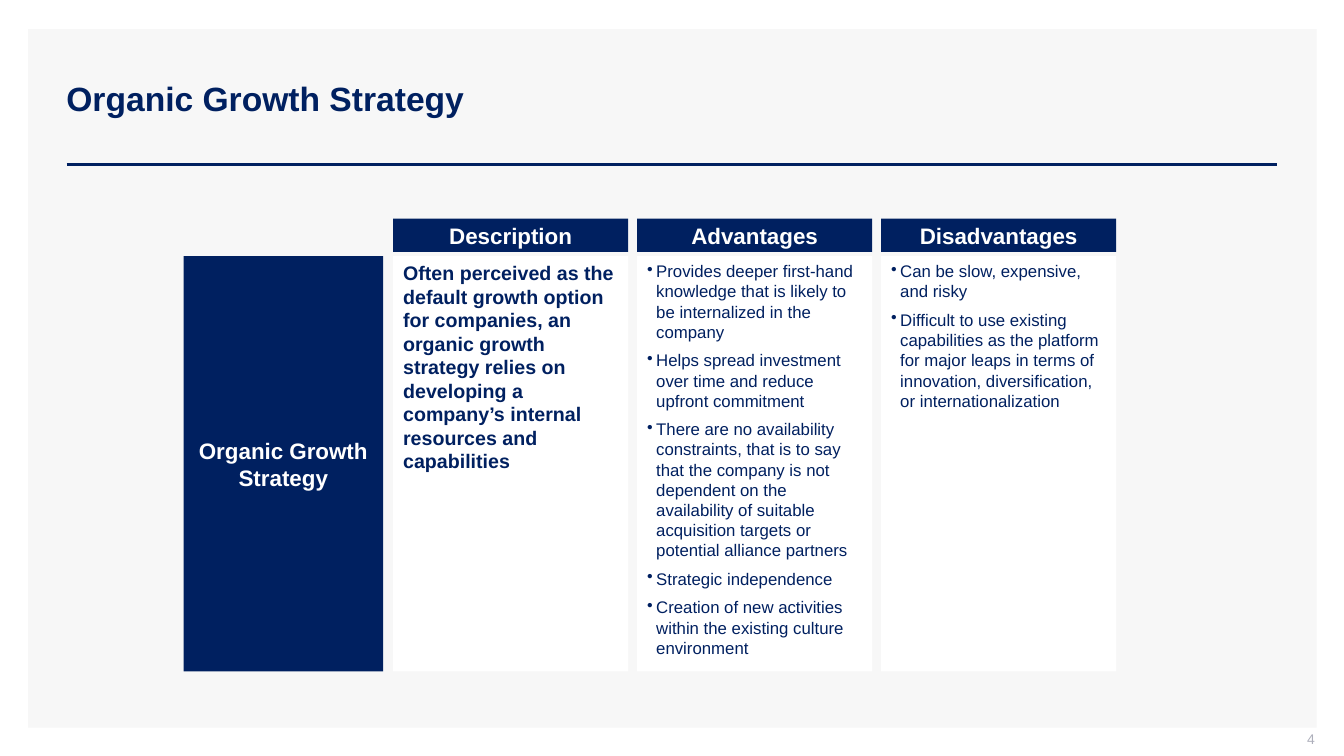
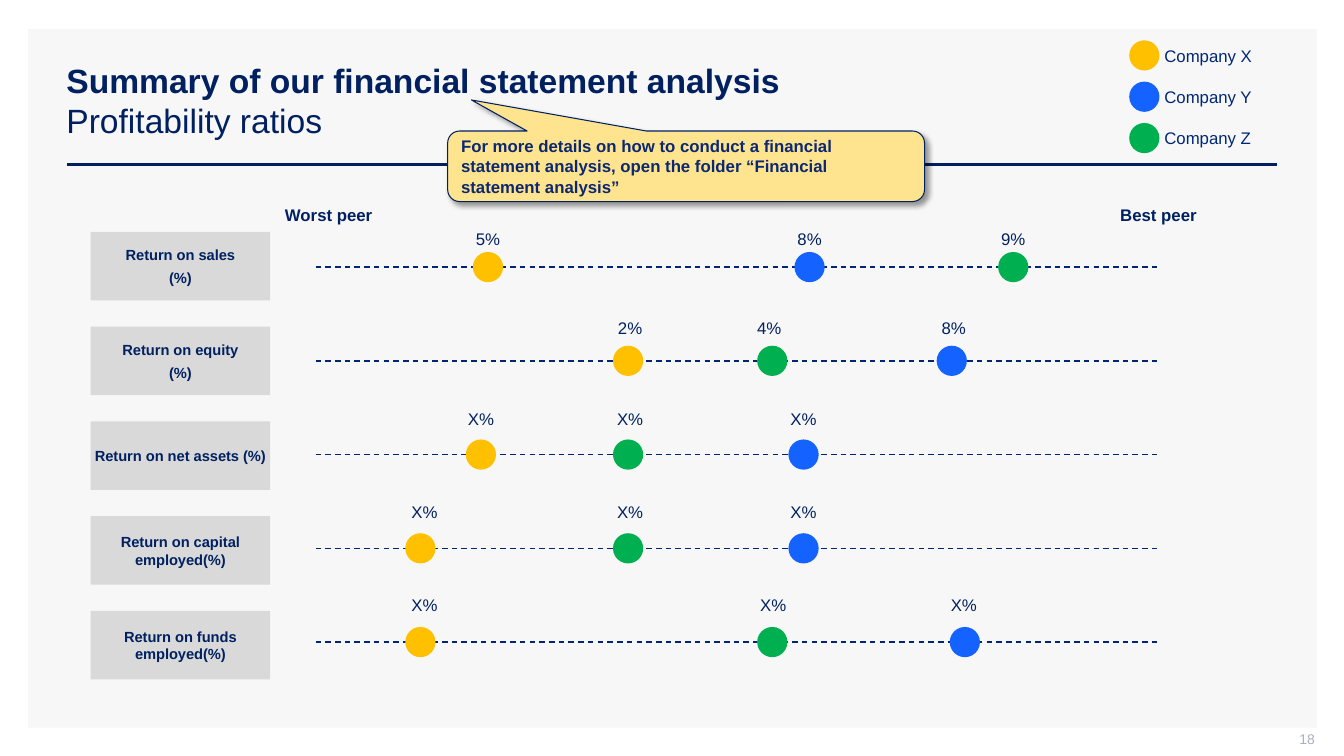
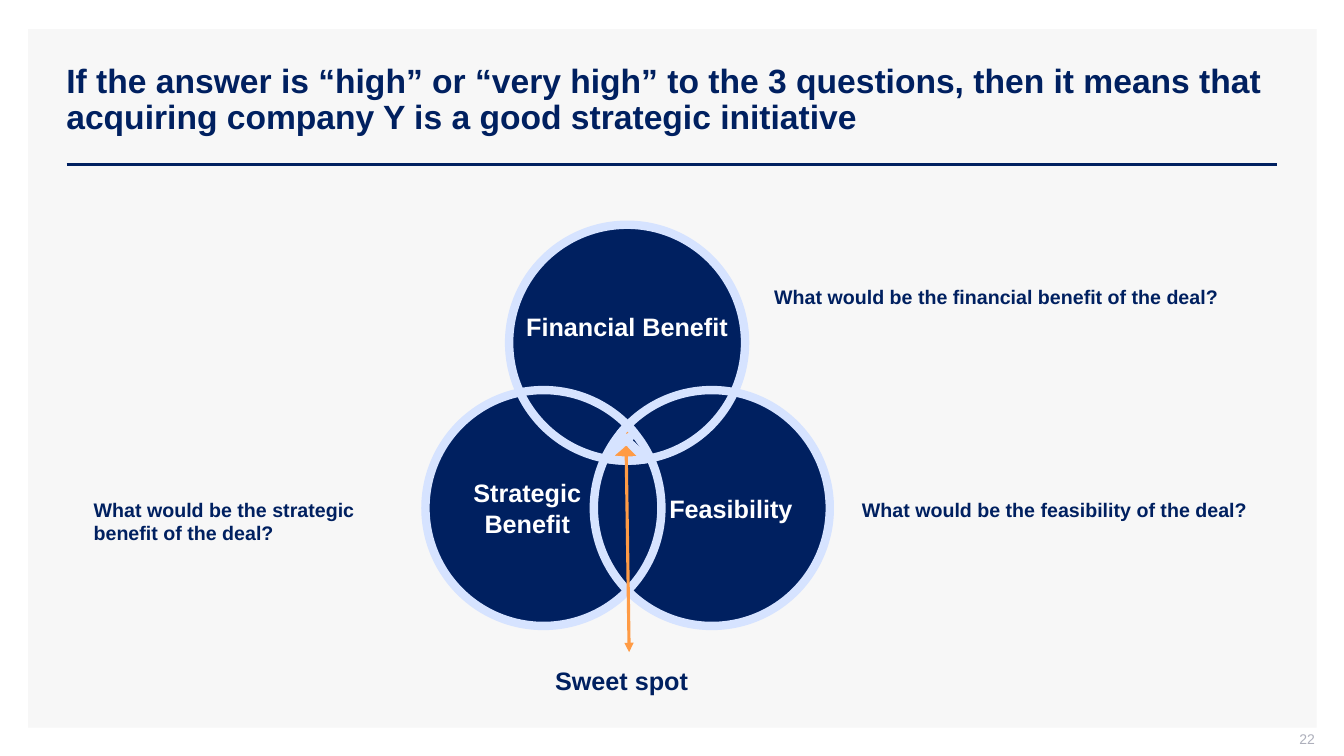
from dataclasses import dataclass
from math import atan2, cos, hypot, sin, sqrt

from lxml.etree import SubElement
from pptx import Presentation
from pptx.dml.color import RGBColor
from pptx.enum.dml import MSO_LINE
from pptx.enum.shapes import MSO_CONNECTOR, MSO_SHAPE, MSO_SHAPE_TYPE
from pptx.enum.text import MSO_ANCHOR, PP_ALIGN
from pptx.oxml.ns import qn
from pptx.util import Inches, Pt


@dataclass(frozen=True)
class Theme:
    font: str = "Arial"
    navy: str = "002060"
    dash: str = "002673"
    legend: str = "002776"
    note_text: str = "0C2870"
    note_fill: str = "FFE48F"
    panel: str = "F7F7F7"
    label: str = "D9D9D9"
    white: str = "FFFFFF"
    number: str = "ADAFBB"
    ring: str = "D6E3FF"
    orange: str = "FF9B45"
    yellow: str = "FFC000"
    blue: str = "1462FF"
    green: str = "00B050"
    title_size: float = 24
    venn_size: float = 18
    head_size: float = 16
    lead_size: float = 14
    body_size: float = 12
    label_size: float = 10.5
    number_size: float = 10


theme = Theme()


def draw(page, kind, left, top, width, height, fill=None, line=None, weight=1):
    shape = page.shapes.add_shape(kind, Inches(left), Inches(top), Inches(width), Inches(height))
    if fill:
        shape.fill.solid()
        shape.fill.fore_color.rgb = RGBColor.from_string(fill)
    else:
        shape.fill.background()
    if line:
        shape.line.color.rgb = RGBColor.from_string(line)
        shape.line.width = Pt(weight)
    else:
        shape.line.fill.background()
    shape.shadow.inherit = False
    return shape


def write(box, *texts, size=theme.body_size, color=theme.navy, bold=False, align=PP_ALIGN.LEFT,
          anchor=MSO_ANCHOR.TOP, inset=(0.1, 0.05, 0.1, 0.05), wrap=True, gap=0,
          leading=None, bullet=False):
    frame = box.text_frame
    frame.word_wrap = wrap
    frame.vertical_anchor = anchor
    frame.margin_left, frame.margin_top, frame.margin_right, frame.margin_bottom = map(Inches, inset)
    for index, text in enumerate(texts):
        para = frame.add_paragraph() if index else frame.paragraphs[0]
        para.alignment = align
        para.line_spacing = leading
        para.space_before = Pt(gap if index else 0)
        para.space_after = Pt(gap)
        if bullet:
            properties = para._p.get_or_add_pPr()
            properties.set("marL", str(Inches(0.09)))
            properties.set("indent", str(Inches(-0.09)))
            SubElement(properties, qn("a:buChar"), char="•")
        span = para.add_run()
        span.text = text
        span.font.name = theme.font
        span.font.size = Pt(size)
        span.font.bold = bold
        span.font.color.rgb = RGBColor.from_string(color)


deck = Presentation()
deck.slide_width = Inches(13.33)
deck.slide_height = Inches(7.5)

pages = []
titles = []
for title, number, leading in [
    ("Organic Growth Strategy", "4", 0.9),
    ("Summary of our financial statement analysis", "18", None),
    ("If the answer is “high” or “very high” to the 3 questions, then it means that "
     "acquiring company Y is a good strategic initiative", "22", 0.9),
]:
    page = deck.slides.add_slide(deck.slide_layouts[6])
    draw(page, MSO_SHAPE.RECTANGLE, 0.28, 0.29, 12.78, 6.93, theme.panel)
    rule = page.shapes.add_connector(
        MSO_CONNECTOR.STRAIGHT, Inches(0.66), Inches(1.63), Inches(12.67), Inches(1.63))
    rule.line.color.rgb = RGBColor.from_string(theme.navy)
    rule.line.width = Pt(2)
    box = page.shapes.add_textbox(Inches(0.56), Inches(0.4), Inches(12.11), Inches(1.19))
    write(box, title, size=theme.title_size, bold=True, anchor=MSO_ANCHOR.MIDDLE, leading=leading)
    titles.append(box)
    box = page.shapes.add_textbox(Inches(10.04), Inches(7.25), Inches(3), Inches(0.21))
    write(box, number, size=theme.number_size, color=theme.number, align=PP_ALIGN.RIGHT,
          anchor=MSO_ANCHOR.MIDDLE, inset=(0.1, 0, 0, 0.05))
    pages.append(page)

growth_page, ratio_page, deal_page = pages

box = draw(growth_page, MSO_SHAPE.RECTANGLE, 1.82, 2.54, 1.98, 4.12, theme.navy)
write(box, "Organic Growth Strategy", size=theme.head_size, color=theme.white, bold=True,
      align=PP_ALIGN.CENTER, anchor=MSO_ANCHOR.MIDDLE)
bullet_style = dict(gap=3, bullet=True)
columns = [
    ("Description", dict(size=theme.lead_size, bold=True), [
        "Often perceived as the default growth option for companies, an organic growth strategy "
        "relies on developing a company’s internal resources and capabilities",
    ]),
    ("Advantages", bullet_style, [
        "Provides deeper first-hand knowledge that is likely to be internalized in the company",
        "Helps spread investment over time and reduce upfront commitment",
        "There are no availability constraints, that is to say that the company is not dependent "
        "on the availability of suitable acquisition targets or potential alliance partners",
        "Strategic independence",
        "Creation of new activities within the existing culture environment",
    ]),
    ("Disadvantages", bullet_style, [
        "Can be slow, expensive, and risky",
        "Difficult to use existing capabilities as the platform for major leaps in terms of "
        "innovation, diversification, or internationalization",
    ]),
]
for index, (heading, style, texts) in enumerate(columns):
    left = 3.9 + 2.42 * index
    box = draw(growth_page, MSO_SHAPE.RECTANGLE, left, 2.17, 2.33, 0.33, theme.navy)
    write(box, heading, size=theme.head_size, color=theme.white, bold=True,
          align=PP_ALIGN.CENTER, anchor=MSO_ANCHOR.MIDDLE)
    box = draw(growth_page, MSO_SHAPE.RECTANGLE, left, 2.54, 2.33, 4.12, theme.white)
    write(box, *texts, **style)

para = titles[1].text_frame.paragraphs[0]
para.add_line_break()
span = para.add_run()
span.text = "Profitability ratios"
span.font.name = theme.font
span.font.size = Pt(theme.title_size)
span.font.bold = False
span.font.color.rgb = RGBColor.from_string(theme.navy)

for text, center in [("Worst peer", 3.26), ("Best peer", 11.49)]:
    box = ratio_page.shapes.add_textbox(Inches(center - 0.54), Inches(1.98), Inches(1.08), Inches(0.3))
    write(box, text, bold=True, align=PP_ALIGN.CENTER, wrap=False)

companies = {"X": theme.yellow, "Y": theme.blue, "Z": theme.green}
dot_size = 0.3
ratios = [
    (["Return on sales", "(%)"], 2.22,
     [("X", 4.84, 4.84, "5%"), ("Y", 8.03, 8.03, "8%"), ("Z", 10.05, 10.05, "9%")]),
    (["Return on equity", "(%)"], 3.1,
     [("X", 6.23, 6.25, "2%"), ("Z", 7.66, 7.63, "4%"), ("Y", 9.44, 9.46, "8%")]),
    (["Return on net assets (%)"], 4.01,
     [("X", 4.77, 4.77, "X%"), ("Z", 6.23, 6.25, "X%"), ("Y", 7.97, 7.97, "X%")]),
    (["Return on capital employed(%)"], 4.93,
     [("X", 4.17, 4.21, "X%"), ("Z", 6.23, 6.25, "X%"), ("Y", 7.97, 7.97, "X%")]),
    (["Return on funds employed(%)"], 5.85,
     [("X", 4.17, 4.21, "X%"), ("Z", 7.66, 7.67, "X%"), ("Y", 9.57, 9.56, "X%")]),
]
for index, (label, value_top, points) in enumerate(ratios):
    box = draw(ratio_page, MSO_SHAPE.RECTANGLE, 0.9, 2.3 + 0.94 * index, 1.78, 0.68, theme.label)
    write(box, *label, size=theme.label_size, bold=True, align=PP_ALIGN.CENTER,
          anchor=MSO_ANCHOR.MIDDLE, inset=(0.02,) * 4, gap=2)
    axis = 2.65 + 0.93 * index
    scale = ratio_page.shapes.add_connector(
        MSO_CONNECTOR.STRAIGHT, Inches(3.13), Inches(axis), Inches(11.5), Inches(axis))
    scale.line.color.rgb = RGBColor.from_string(theme.dash)
    scale.line.width = Pt(1)
    scale.line.dash_style = MSO_LINE.DASH
    for company, dot_center, value_center, value in points:
        draw(ratio_page, MSO_SHAPE.OVAL, dot_center - dot_size / 2, axis - dot_size / 2,
             dot_size, dot_size, companies[company])
        box = ratio_page.shapes.add_textbox(
            Inches(value_center - 0.23), Inches(value_top), Inches(0.46), Inches(0.3))
        write(box, value, align=PP_ALIGN.CENTER, wrap=False)

for index, (company, color) in enumerate(companies.items()):
    top = 0.4 + 0.41 * index
    draw(ratio_page, MSO_SHAPE.OVAL, 11.2, top, dot_size, dot_size, color)
    box = ratio_page.shapes.add_textbox(Inches(11.45), Inches(top), Inches(1.4), Inches(0.3))
    write(box, f"Company {company}", color=theme.legend)

callout = draw(ratio_page, MSO_SHAPE.ROUNDED_RECTANGULAR_CALLOUT, 4.44, 1.3, 4.73, 0.7,
               theme.note_fill, theme.navy, 0.75)
for index, value in enumerate([-0.45, -0.94, 0.17]):
    callout.adjustments[index] = value
write(callout, "For more details on how to conduct a financial statement analysis, open the folder "
      "“Financial statement analysis”", color=theme.note_text, bold=True, anchor=MSO_ANCHOR.MIDDLE)
effects = callout._element.spPr.find(qn("a:effectLst"))
shadow = SubElement(effects, qn("a:outerShdw"), blurRad=str(Pt(4)), dist=str(Pt(3)),
                    dir="2700000", algn="tl", rotWithShape="0")
shade = SubElement(shadow, qn("a:srgbClr"), val="000000")
SubElement(shade, qn("a:alpha"), val="40000")

radius = 1.17
financial, strategic, feasible = (6.22, 3.4), (5.39, 5.04), (7.06, 5.04)
circles = [
    (financial, "Financial Benefit", (0, 0, 0, 0.33), False),
    (strategic, "Strategic Benefit", (0, 0, 0.32, 0), True),
    (feasible, "Feasibility", (0.38, 0, 0, 0), True),
]
for (x, y), text, inset, wrap in circles:
    box = draw(deal_page, MSO_SHAPE.OVAL, x - radius, y - radius, 2 * radius, 2 * radius, theme.navy)
    write(box, text, size=theme.venn_size, color=theme.white, bold=True, align=PP_ALIGN.CENTER,
          anchor=MSO_ANCHOR.MIDDLE, inset=inset, wrap=wrap)
for (x, y), *_ in circles:
    draw(deal_page, MSO_SHAPE.OVAL, x - radius, y - radius, 2 * radius, 2 * radius,
         line=theme.ring, weight=6)

corners = []
for first, second, other in [(strategic, feasible, financial), (strategic, financial, feasible),
                             (financial, feasible, strategic)]:
    dx, dy = second[0] - first[0], second[1] - first[1]
    distance = hypot(dx, dy)
    reach = sqrt(radius ** 2 - distance ** 2 / 4) / distance
    middle = ((first[0] + second[0]) / 2, (first[1] + second[1]) / 2)
    crossings = [(middle[0] - side * reach * dy, middle[1] + side * reach * dx) for side in (-1, 1)]
    corners.append(min(crossings, key=lambda point: hypot(point[0] - other[0], point[1] - other[1])))
apex, left_corner, right_corner = corners

outline = []
steps = 10
for (x, y), start, end in [(strategic, apex, right_corner), (financial, right_corner, left_corner),
                           (feasible, left_corner, apex)]:
    start_angle = atan2(start[1] - y, start[0] - x)
    sweep = atan2(end[1] - y, end[0] - x) - start_angle
    for step in range(steps):
        angle = start_angle + sweep * step / steps
        outline.append((Inches(x + radius * cos(angle)), Inches(y + radius * sin(angle))))
builder = deal_page.shapes.build_freeform(*outline[0])
builder.add_line_segments(outline[1:], close=True)
sweet_spot = builder.convert_to_shape()
sweet_spot.fill.solid()
sweet_spot.fill.fore_color.rgb = RGBColor.from_string(theme.orange)
sweet_spot.line.color.rgb = RGBColor.from_string(theme.ring)
sweet_spot.line.width = Pt(6)
sweet_spot.shadow.inherit = False

arrow = deal_page.shapes.add_connector(
    MSO_CONNECTOR.STRAIGHT, Inches(6.21), Inches(4.43), Inches(6.24), Inches(6.47))
arrow.line.color.rgb = RGBColor.from_string(theme.orange)
arrow.line.width = Pt(2.25)
SubElement(arrow._element.spPr.find(qn("a:ln")), qn("a:tailEnd"), type="triangle")

box = deal_page.shapes.add_textbox(Inches(5.2), Inches(6.59), Inches(1.93), Inches(0.31))
write(box, "Sweet spot", size=theme.venn_size, bold=True, align=PP_ALIGN.CENTER,
      anchor=MSO_ANCHOR.MIDDLE, inset=(0.02, 0, 0.02, 0))
for topic, left, top, width, height in [
    ("financial benefit", 7.58, 2.78, 4.68, 0.34),
    ("feasibility", 8.45, 4.89, 4.26, 0.34),
    ("strategic benefit", 0.83, 4.89, 3.31, 0.57),
]:
    box = deal_page.shapes.add_textbox(Inches(left), Inches(top), Inches(width), Inches(height))
    write(box, f"What would be the {topic} of the deal?", size=theme.lead_size, bold=True)

for page in pages:
    for shape in page.shapes:
        if shape.shape_type == MSO_SHAPE_TYPE.LINE:
            SubElement(shape._element.spPr, qn("a:effectLst"))

deck.save("out.pptx")
